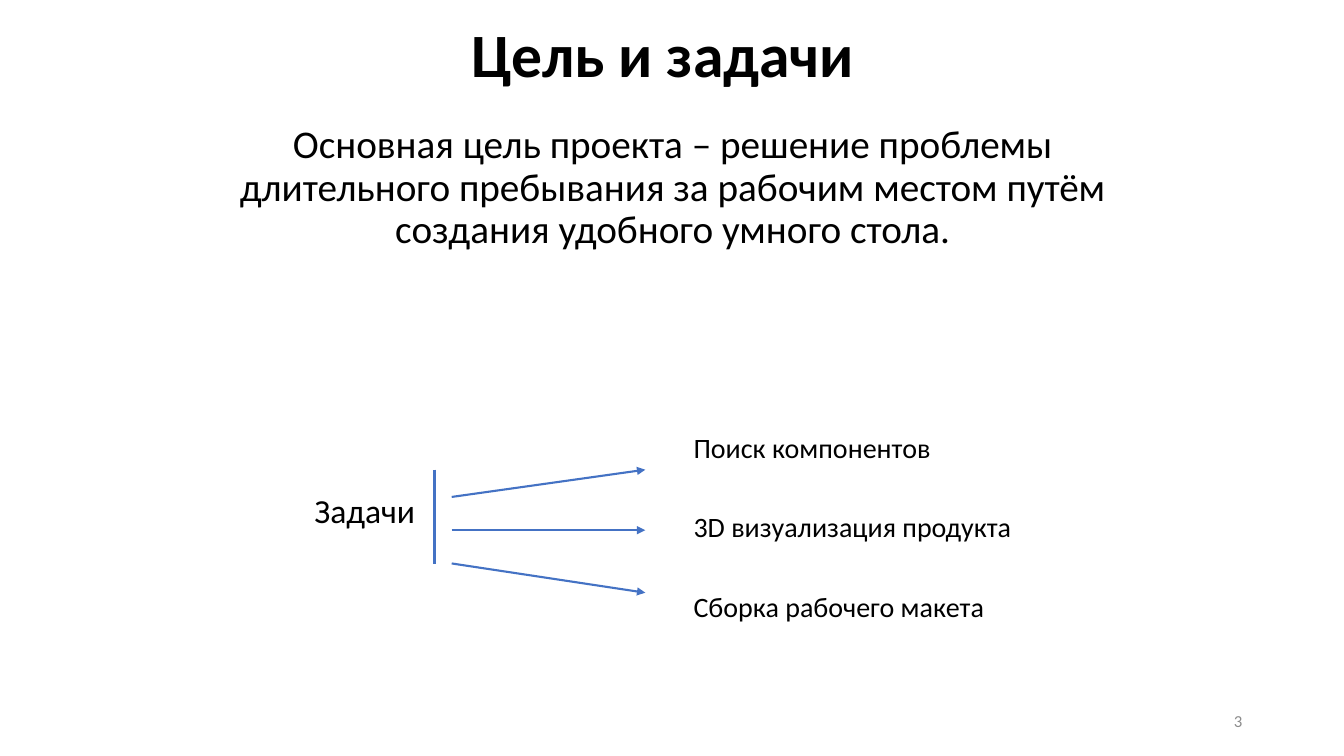
import pptx
import pptx.util
import pptx.dml.color
import pptx.enum.shapes
import pptx.enum.text
import pptx.oxml
import pptx.oxml.ns
from pptx.util import Inches

COLORS = {"text": "000000", "line": "4472C4", "number": "8C8C8C"}
ALIGN = pptx.enum.text.PP_ALIGN
ANCHOR = pptx.enum.text.MSO_ANCHOR


def write(sp, text, size, color="text", bold=False, align=ALIGN.LEFT,
          anchor=ANCHOR.TOP, spacing=1.0, wrap=True):
    tf = sp.text_frame
    tf.auto_size = pptx.enum.text.MSO_AUTO_SIZE.NONE
    tf.word_wrap = wrap
    tf.vertical_anchor = anchor
    p = tf.paragraphs[0]
    p.alignment = align
    p.line_spacing = spacing
    r = p.add_run()
    r.text = text
    r.font.name = "Calibri"
    r.font.size = pptx.util.Pt(size)
    r.font.bold = bold
    r.font.color.rgb = pptx.dml.color.RGBColor.from_string(COLORS[color])


def add_line(s, x1, y1, x2, y2, width, arrow=False):
    sp = s.shapes.add_connector(pptx.enum.shapes.MSO_CONNECTOR.STRAIGHT,
                                Inches(x1), Inches(y1), Inches(x2), Inches(y2))
    sp.line.color.rgb = pptx.dml.color.RGBColor.from_string(COLORS["line"])
    sp.line.width = pptx.util.Pt(width)
    if arrow:
        ln = sp.line._get_or_add_ln()
        ln.append(pptx.oxml.parse_xml(
            f'<a:tailEnd {pptx.oxml.ns.nsdecls("a")} type="triangle"/>'))
    sp._element.spPr.append(pptx.oxml.parse_xml(
        f'<a:effectLst {pptx.oxml.ns.nsdecls("a")}/>'))


prs = pptx.Presentation()
prs.slide_width = Inches(13.33)
prs.slide_height = Inches(7.5)
s = prs.slides.add_slide(prs.slide_layouts[5])

title = s.shapes.title
title.left, title.top = Inches(4.58), Inches(-0.15)
title.width, title.height = Inches(4.17), Inches(1.45)
write(title, "Цель и задачи", 44, bold=True, anchor=ANCHOR.MIDDLE, spacing=0.9)

goal = s.shapes.add_textbox(Inches(1.79), Inches(1.19), Inches(9.76), Inches(1.45))
write(goal, "Основная цель проекта – решение проблемы длительного пребывания "
      "за рабочим местом путём создания удобного умного стола.",
      28, align=ALIGN.CENTER, spacing=0.9)

label = s.shapes.add_textbox(Inches(3.02), Inches(4.81), Inches(1.33), Inches(0.5))
write(label, "Задачи", 24)
add_line(s, 4.31, 4.66, 4.31, 5.6, 0)

tasks = [
    ("Поиск компонентов", 2.55, 4.66),
    ("3D визуализация продукта", 3.49, 5.26),
    ("Сборка рабочего макета", 3.09, 5.88),
]
for i, (task, width, arrow_y) in enumerate(tasks):
    sp = s.shapes.add_textbox(Inches(6.78), Inches(4.22 + 0.79 * i),
                              Inches(width), Inches(0.43))
    write(sp, task, 20, wrap=False)
    add_line(s, 4.48, 4.93 + 0.33 * i, 6.4, arrow_y, 1.5, arrow=True)

number = s.shapes.add_textbox(Inches(9.42), Inches(6.95), Inches(3), Inches(0.4))
write(number, "3", 12, color="number", align=ALIGN.RIGHT, anchor=ANCHOR.MIDDLE)

prs.save("out.pptx")
